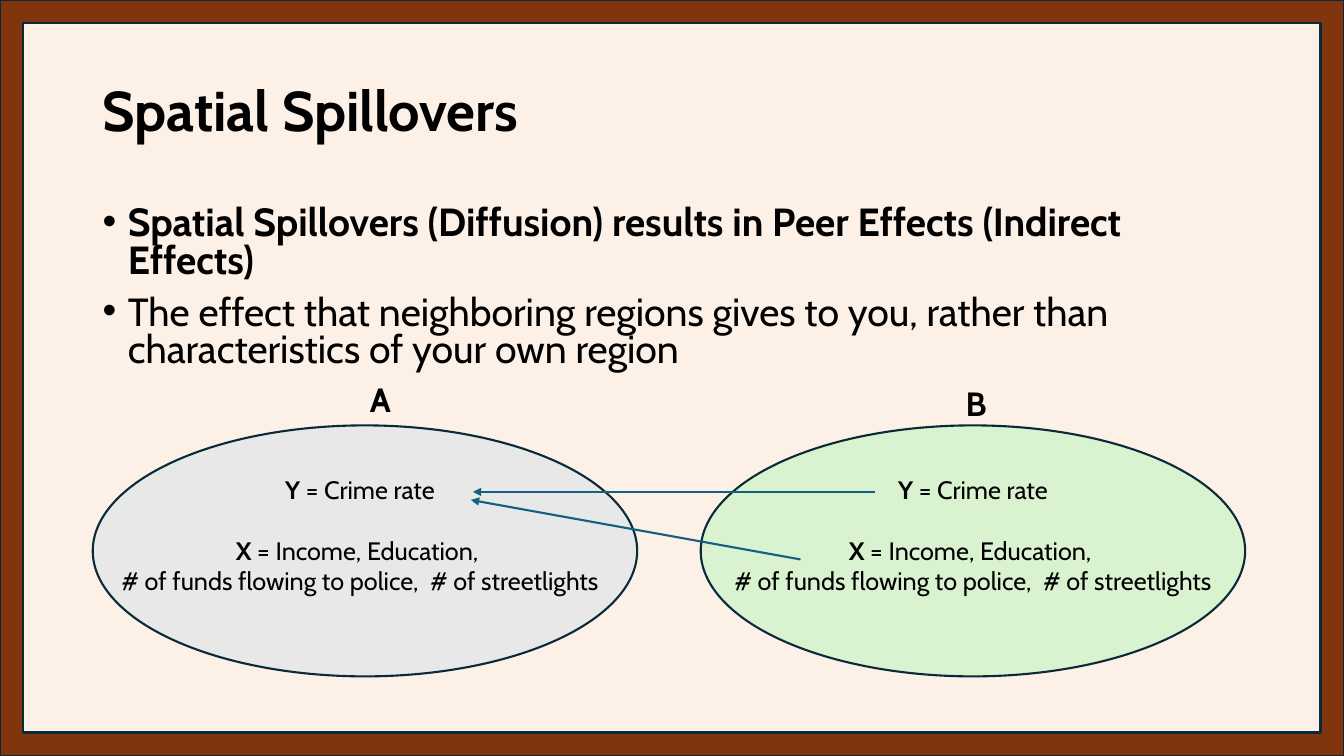
import pptx
import pptx.util
import pptx.dml.color
import pptx.enum.shapes
import pptx.enum.text
import pptx.oxml
import pptx.oxml.ns
from lxml import etree

Inches, Pt = pptx.util.Inches, pptx.util.Pt
SHAPE = pptx.enum.shapes.MSO_SHAPE
ALIGN = pptx.enum.text.PP_ALIGN
ANCHOR = pptx.enum.text.MSO_ANCHOR
qn = pptx.oxml.ns.qn
HUES = {
    name: pptx.dml.color.RGBColor.from_string(code)
    for name, code in {
        "cream": "FDF0E7", "brown": "80350E", "navy": "092A39",
        "gray": "E8E8E8", "green": "D9F2D0", "blue": "156082", "black": "000000",
    }.items()
}

deck = pptx.Presentation()
deck.slide_width, deck.slide_height = Inches(13.33), Inches(7.5)
slide = deck.slides.add_slide(deck.slide_layouts[6])
slide.background.fill.solid()
slide.background.fill.fore_color.rgb = HUES["cream"]


def draw(kind, left, top, width, height, fill, line):
    shape = slide.shapes.add_shape(kind, *map(Inches, (left, top, width, height)))
    shape.shadow.inherit = False
    shape.fill.solid()
    shape.fill.fore_color.rgb = HUES[fill]
    shape.line.color.rgb = HUES["navy"]
    shape.line.width = Pt(line)
    return shape


def write(left, top, width, height, size, lines, wrap=False, align=ALIGN.LEFT):
    box = slide.shapes.add_textbox(*map(Inches, (left, top, width, height)))
    frame = box.text_frame
    frame.word_wrap = wrap
    for row, runs in enumerate(lines):
        para = frame.add_paragraph() if row else frame.paragraphs[0]
        para.alignment = align
        para.font.size = Pt(size)
        para.font.name = "Cabin"
        para.font.color.rgb = HUES["black"]
        for text, bold in runs:
            run = para.add_run()
            run.text = text
            run.font.bold = bold
    return frame


margin, wide = 0.92, 11.5
border = draw(SHAPE.FRAME, 0, 0, 13.33, 7.5, "brown", 1.5)
border.adjustments[0] = 0.031

title = write(margin, 0.4, wide, 1.45, 40, [[("Spatial Spillovers", True)]], wrap=True)
title.vertical_anchor = ANCHOR.MIDDLE
title.paragraphs[0].line_spacing = 0.9

points = write(margin, 2, wide, 1.75, 28, [
    [("Spatial Spillovers (Diffusion) results in Peer Effects (Indirect Effects)", True)],
    [("The effect that neighboring regions gives to you, rather than "
      "characteristics of your own region", False)],
], wrap=True)
for para in points.paragraphs:
    para.line_spacing = 0.8
    para.space_before = Pt(10)
    props = para._p.get_or_add_pPr()
    props.set("marL", str(Inches(0.25)))
    props.set("indent", str(-Inches(0.25)))
    etree.SubElement(props, qn("a:buFont")).set("typeface", "Arial")
    etree.SubElement(props, qn("a:buChar")).set("char", "•")
    props.append(props.find(qn("a:defRPr")))

facts = [
    [("Y ", True), ("= Crime rate", False)],
    [("X", True), (" = Income, Education, ", False)],
    [("# of funds flowing to police,  # of streetlights", False)],
]
regions = [
    ("A", "gray", 0.92, 1.07, 3.57, 3.71),
    ("B", "green", 6.95, 7.15, 9.48, 3.75),
]
for name, fill, left, inner, label, top in regions:
    draw(SHAPE.OVAL, left, 4.22, 5.4, 2.49, fill, 1.5)
    body = write(inner, 4.66, 5, 1.62, 18, facts, align=ALIGN.CENTER)
    body.paragraphs[1].space_before = Pt(21.8)
    write(label, top, 0.41, 0.5, 24, [[(name, True)]])

for ends in [(7.94, 5.55, 4.67, 4.96), (8.68, 4.88, 4.69, 4.88)]:
    arrow = slide.shapes.add_connector(
        pptx.enum.shapes.MSO_CONNECTOR.STRAIGHT, *map(Inches, ends))
    arrow.line.color.rgb = HUES["blue"]
    arrow.line.width = Pt(1.5)
    etree.SubElement(arrow.line._get_or_add_ln(), qn("a:tailEnd")).set("type", "triangle")
    etree.SubElement(arrow._element.spPr, qn("a:effectLst"))

deck.save("out.pptx")
